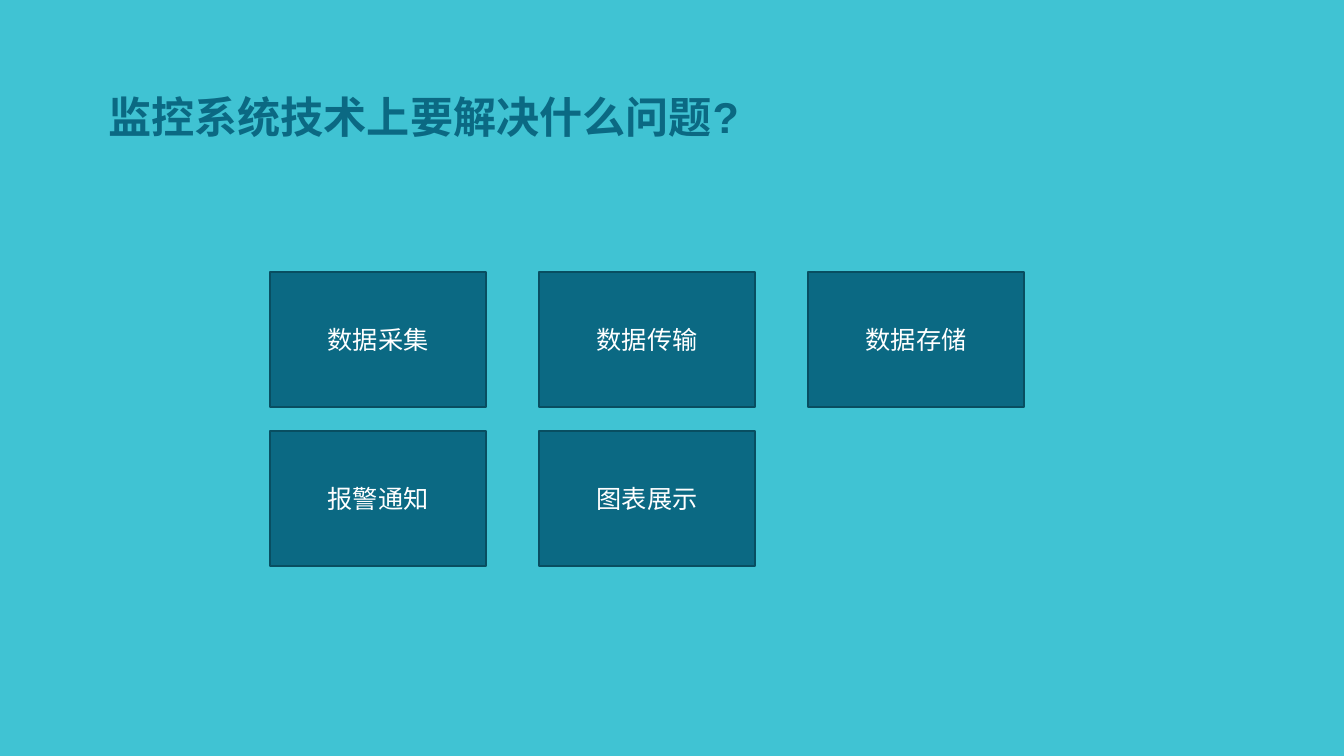
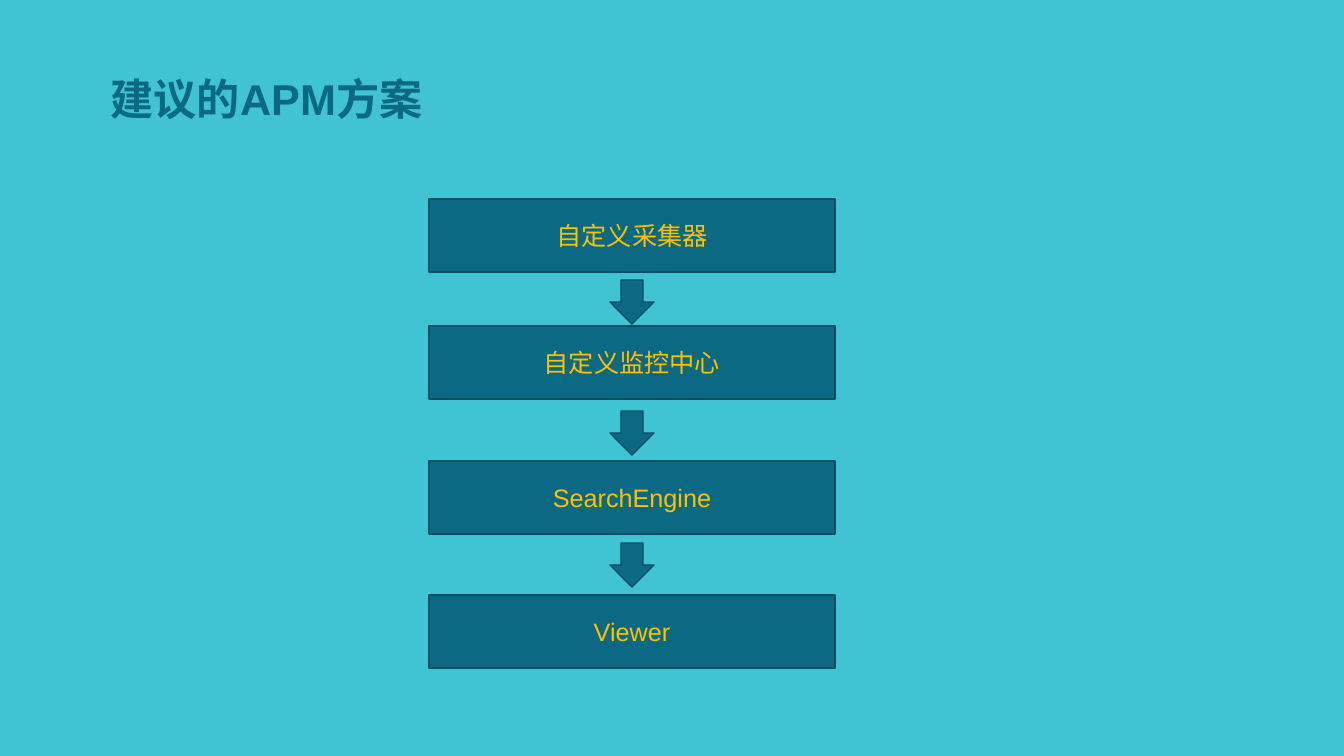
from pptx import Presentation
from pptx.dml.color import RGBColor
from pptx.enum.shapes import MSO_SHAPE
from pptx.enum.text import MSO_ANCHOR, MSO_AUTO_SIZE, PP_ALIGN
from pptx.util import Emu, Pt

RECTANGLE = MSO_SHAPE.RECTANGLE
DOWN_ARROW = MSO_SHAPE.DOWN_ARROW
BOTTOM, MIDDLE = MSO_ANCHOR.BOTTOM, MSO_ANCHOR.MIDDLE
NO_AUTOFIT = MSO_AUTO_SIZE.NONE
CENTER = PP_ALIGN.CENTER

TURQUOISE = RGBColor(0x40, 0xC3, 0xD3)
PETROL = RGBColor(0x0B, 0x69, 0x83)
DARK_PETROL = RGBColor(0x08, 0x4E, 0x61)
WHITE = RGBColor(0xFF, 0xFF, 0xFF)
AMBER = RGBColor(0xFF, 0xC0, 0x00)

FONT = "Arial"
TITLE_SIZE, LABEL_SIZE = Pt(30.8), Pt(18)
SLIDE_WIDTH, SLIDE_HEIGHT = 1344, 756
EMU_PER_PX = 914400 / 100.8


def px(length):
    """Turn whole pixels into EMU."""
    return Emu(round(length * EMU_PER_PX))


class Deck:
    """Holds the shared style and the slide being built."""

    def __init__(self):
        """Start a presentation with the shared background."""
        self.presentation = Presentation()
        self.presentation.slide_width = px(SLIDE_WIDTH)
        self.presentation.slide_height = px(SLIDE_HEIGHT)
        background = self.presentation.slide_master.background.fill
        background.solid()
        background.fore_color.rgb = TURQUOISE
        self.slide = None

    def add_line(self, frame, text, size, color, anchor, bold=False):
        """Add one centred line of text and return its paragraph."""
        frame.word_wrap = True
        frame.auto_size = NO_AUTOFIT
        frame.vertical_anchor = anchor
        paragraph = frame.paragraphs[0]
        paragraph.alignment = CENTER
        run = paragraph.add_run()
        run.text = text
        run.font.name = FONT
        run.font.size = size
        run.font.bold = bold
        run.font.color.rgb = color
        return paragraph

    def add_slide(self, heading, left, top, width, height, line_spacing):
        """Add a slide with its heading in the title placeholder."""
        layout = self.presentation.slide_layouts.get_by_name("Title Only")
        self.slide = self.presentation.slides.add_slide(layout)
        title = self.slide.shapes.title
        title.left, title.top = px(left), px(top)
        title.width, title.height = px(width), px(height)
        line = self.add_line(title.text_frame, heading, TITLE_SIZE, PETROL, BOTTOM, True)
        line.line_spacing = line_spacing

    def add_block(self, preset, left, top, width, height):
        """Add an outlined petrol shape."""
        block = self.slide.shapes.add_shape(
            preset, px(left), px(top), px(width), px(height)
        )
        block.shadow.inherit = False
        block.fill.solid()
        block.fill.fore_color.rgb = PETROL
        block.line.color.rgb = DARK_PETROL
        block.line.width = Pt(1)
        return block

    def add_box(self, label, color, left, top, width, height):
        """Add a labelled rectangle."""
        box = self.add_block(RECTANGLE, left, top, width, height)
        self.add_line(box.text_frame, label, LABEL_SIZE, color, MIDDLE)

    def add_arrow(self, left, top, width, height):
        """Add a downward block arrow."""
        self.add_block(DOWN_ARROW, left, top, width, height)


def build_problems(deck):
    """Build the grid of technical problems."""
    deck.add_slide("监控系统技术上要解决什么问题?", 31, 57, 785, 90, 1.5)
    problems = ["数据采集", "数据传输", "数据存储", "报警通知", "图表展示"]
    columns = 3
    for index, problem in enumerate(problems):
        row, column = divmod(index, columns)
        deck.add_box(problem, WHITE, 270 + 269 * column, 272 + 159 * row, 216, 135)


def build_solution(deck):
    """Build the chain of proposed components."""
    deck.add_slide("建议的APM方案", 83, 42, 367, 87, 1.3)
    components = [
        ("自定义采集器", 199),
        ("自定义监控中心", 326),
        ("SearchEngine", 461),
        ("Viewer", 595),
    ]
    box_left, box_width, arrow_size = 429, 406, 44
    for component, top in components:
        deck.add_box(component, AMBER, box_left, top, box_width, 73)
    arrow_left = box_left + (box_width - arrow_size) // 2
    for top in (280, 411, 543):
        deck.add_arrow(arrow_left, top, arrow_size, arrow_size)


def main():
    """Build and save the presentation."""
    deck = Deck()
    build_problems(deck)
    build_solution(deck)
    deck.presentation.save("out.pptx")


if __name__ == "__main__":
    main()
